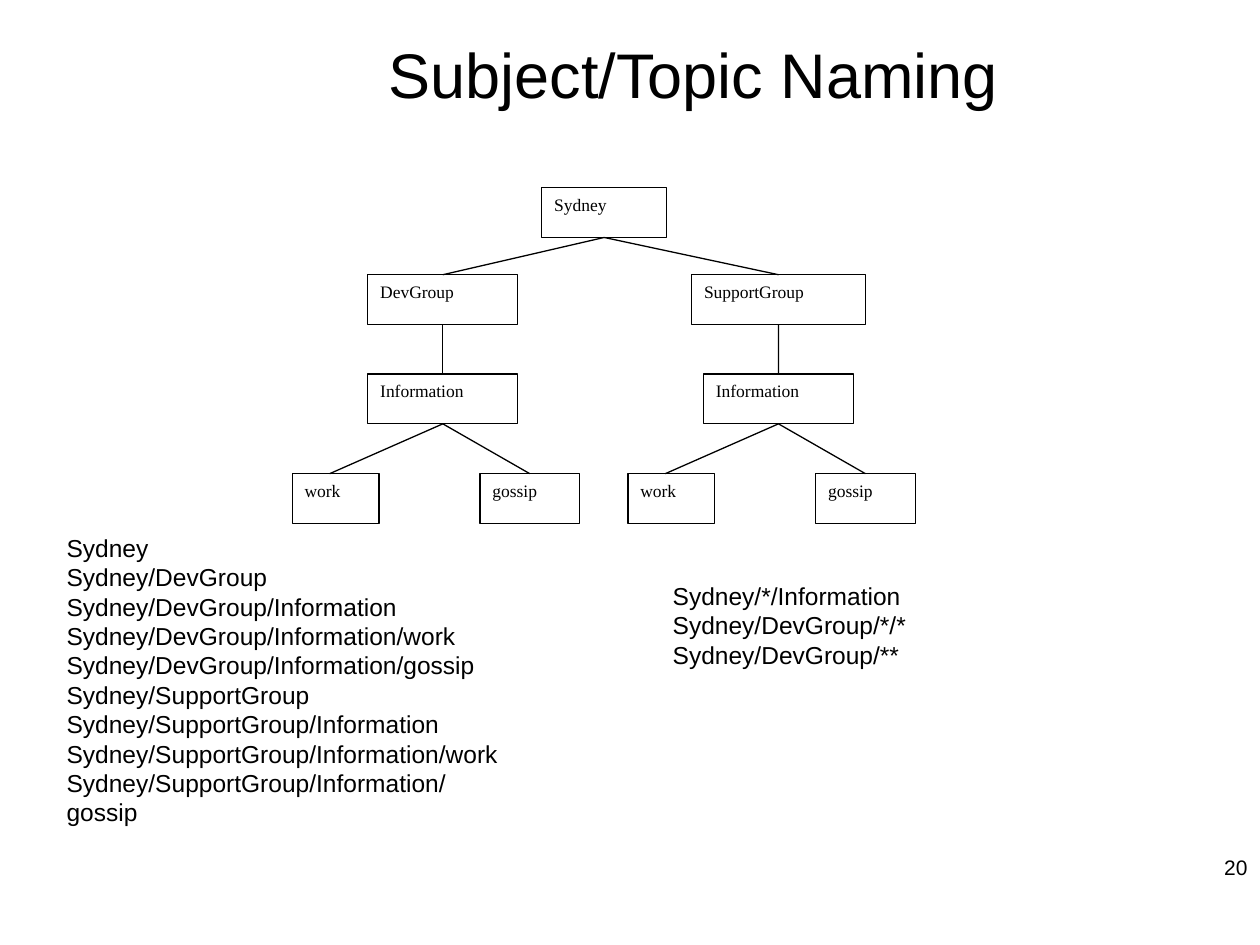
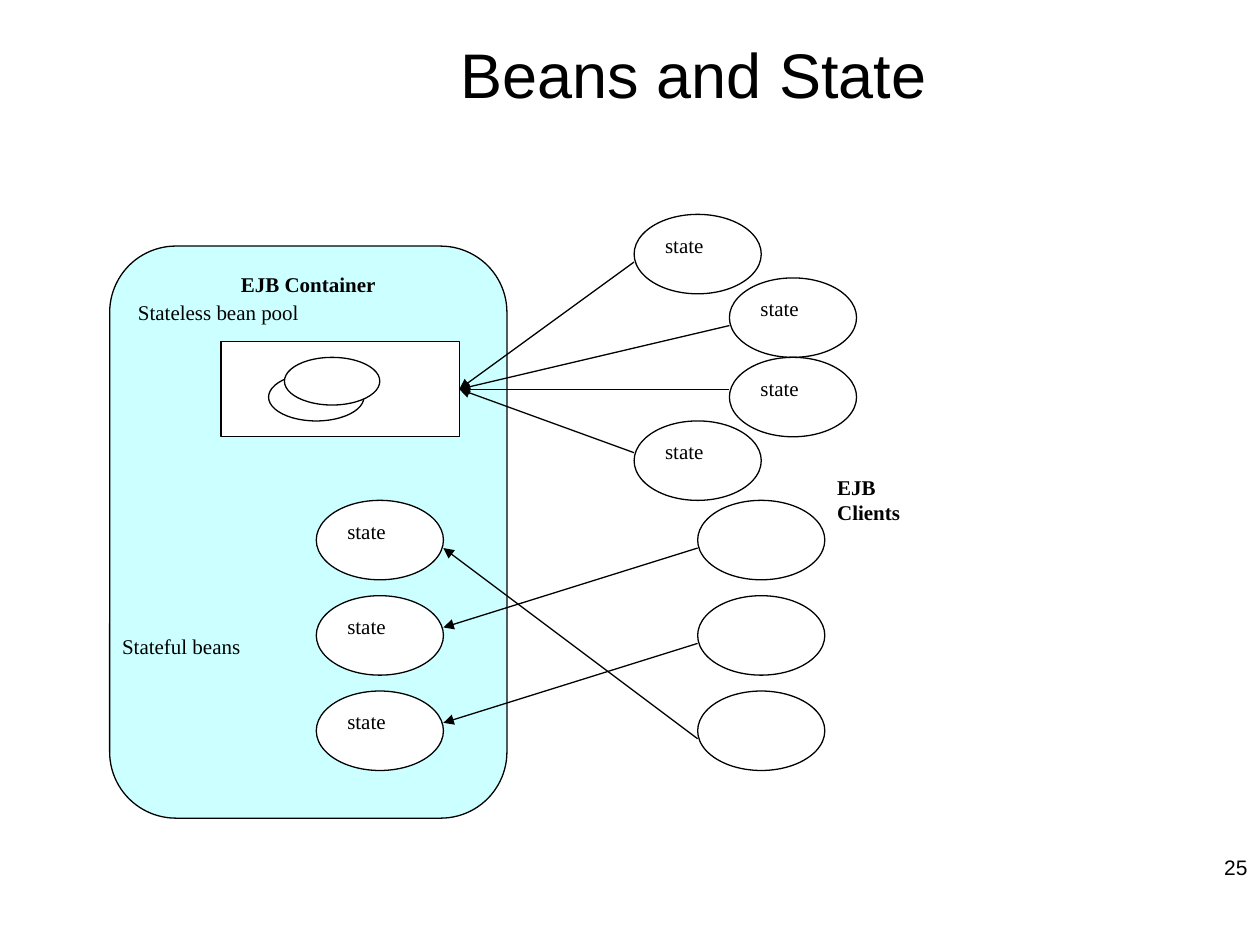
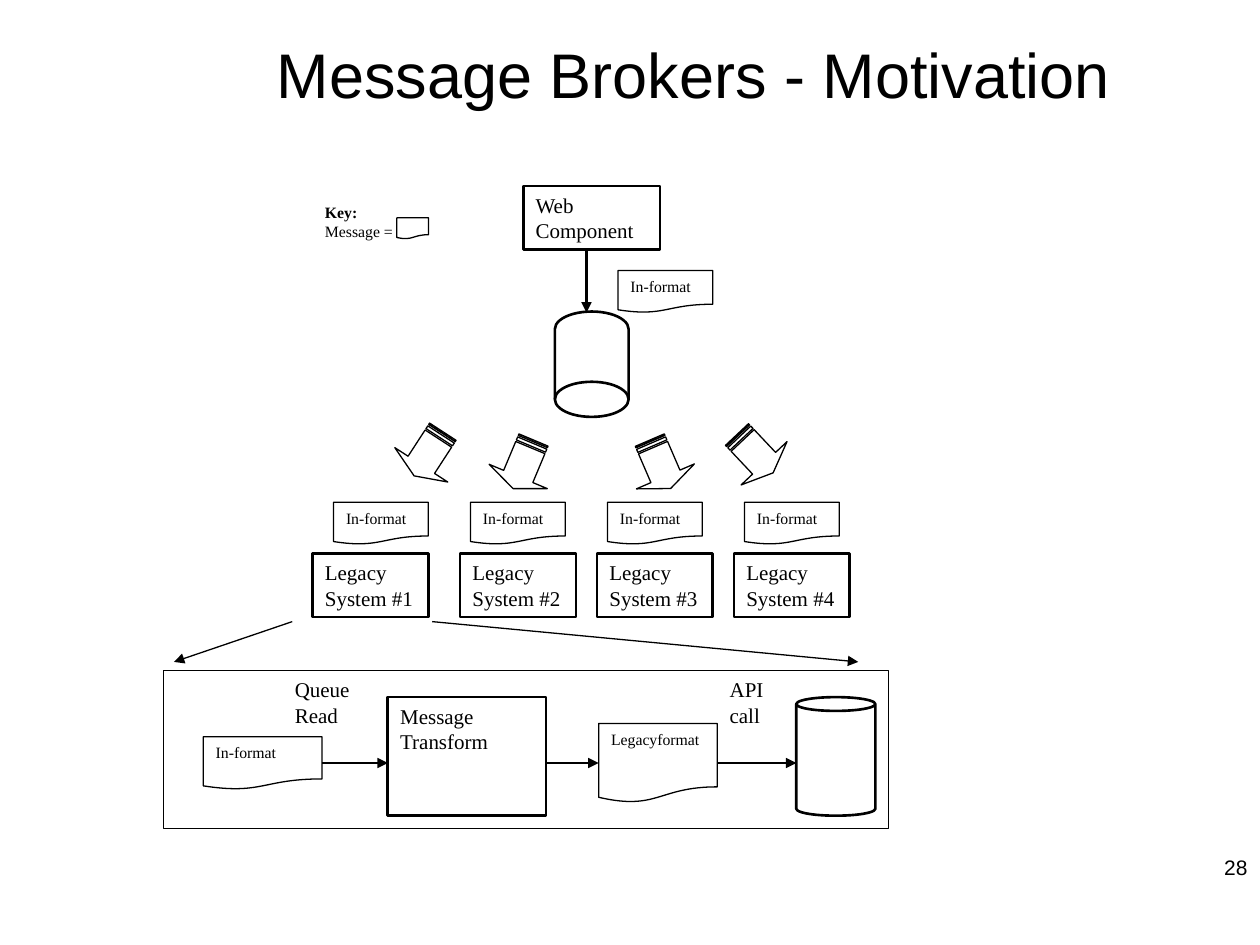
from lxml import etree
from pptx import Presentation
from pptx.dml.color import RGBColor
from pptx.enum.shapes import MSO_CONNECTOR, MSO_SHAPE
from pptx.enum.text import MSO_ANCHOR, PP_ALIGN
from pptx.oxml.ns import qn
from pptx.util import Pt

RECT, ELLIPSE = MSO_SHAPE.RECTANGLE, MSO_SHAPE.OVAL
CONTAINER = MSO_SHAPE.FLOWCHART_ALTERNATE_PROCESS
DOCUMENT = MSO_SHAPE.FLOWCHART_DOCUMENT
QUEUE = MSO_SHAPE.FLOWCHART_DIRECT_ACCESS_STORAGE
CAN, ARROW = MSO_SHAPE.CAN, MSO_SHAPE.STRIPED_RIGHT_ARROW
STRAIGHT = MSO_CONNECTOR.STRAIGHT
LEFT, CENTER, RIGHT = PP_ALIGN.LEFT, PP_ALIGN.CENTER, PP_ALIGN.RIGHT
TOP, MIDDLE = MSO_ANCHOR.TOP, MSO_ANCHOR.MIDDLE

BLACK, WHITE, PALE_CYAN = "000000", "FFFFFF", "CCFFFF"
SANS, SERIF = "Arial", "Times New Roman"
THIN, THICK = 0.75, 1.5


def rgb(color):
    return RGBColor.from_string(color)


def write(frame, text, size, font=SERIF, align=LEFT, anchor=TOP, bold_lines=0):
    """Fill a text frame; the first bold_lines paragraphs are bold."""
    frame.text = text
    frame.word_wrap = True
    frame.vertical_anchor = anchor
    for number, paragraph in enumerate(frame.paragraphs):
        paragraph.alignment = align
        style = {"name": font, "size": Pt(size), "bold": number < bold_lines}
        for run in paragraph.runs:
            for attribute, value in style.items():
                setattr(run.font, attribute, value)
            run.font.color.rgb = rgb(BLACK)


class Region:
    """Part of a slide, measured in grid units from its left top corner."""

    def __init__(self, slide, left, top, unit=1):
        self.shapes = slide.shapes
        self.left, self.top, self.unit = left, top, unit

    def point(self, x, y):
        return Pt(self.left + x * self.unit), Pt(self.top + y * self.unit)

    def box(self, x, y, width, height):
        return *self.point(x, y), Pt(width * self.unit), Pt(height * self.unit)

    def shape(self, kind, box, text="", size=12, fill=WHITE, line=THIN, **style):
        shape = self.shapes.add_shape(kind, *self.box(*box))
        shape.shadow.inherit = False
        if fill:
            shape.fill.solid()
            shape.fill.fore_color.rgb = rgb(fill)
        else:
            shape.fill.background()
        shape.line.color.rgb = rgb(BLACK)
        shape.line.width = Pt(line)
        if text:
            write(shape.text_frame, text, size, **style)
        return shape

    def text(self, box, text, size=12, **style):
        label = self.shapes.add_textbox(*self.box(*box))
        write(label.text_frame, text, size, **style)

    def line(self, start, end, width=THIN, arrow=True):
        line = self.shapes.add_connector(STRAIGHT, *self.point(*start), *self.point(*end))
        line.line.color.rgb = rgb(BLACK)
        line.line.width = Pt(width)
        properties = line.element.spPr
        if arrow:
            etree.SubElement(properties.find(qn("a:ln")), qn("a:tailEnd"), type="triangle")
        etree.SubElement(properties, qn("a:effectLst"))


def titled_slide(deck, title, number):
    slide = deck.slides.add_slide(deck.slide_layouts[5])
    page = Region(slide, 0, 0)
    heading = slide.shapes.title
    heading.left, heading.top, heading.width, heading.height = page.box(108.7, 3.6, 575.3, 76.3)
    write(heading.text_frame, title, 36, font=SANS, align=CENTER, anchor=MIDDLE)
    page.text((552.2, 481, 167.8, 28.8), str(number), 12, font=SANS, align=RIGHT, anchor=MIDDLE)
    return slide


def topic_tree(slide, left, top):
    tree = Region(slide, left, top)
    row_tops = (0, 49.7, 106.5, 163.4)
    height = 28.4

    def node(label, x, row, width, parent=None, entry=0.5):
        """Draw a topic under its parent and return its bottom middle."""
        y = row_tops[row]
        tree.shape(RECT, (x, y, width, height), label, 10)
        if parent:
            tree.line(parent, (x + width * entry, y), arrow=False)
        return x + width / 2, y + height

    city = node("Sydney", 142.6, 0, 71.3)
    groups = (("DevGroup", 43.2, 85.7, 0), ("SupportGroup", 228.2, 99.4, 191.8))
    for name, x, width, branch in groups:
        group = node(name, x, 1, width, city)
        information = node("Information", branch + 43.2, 2, 85.7, group)
        node("work", branch, 3, 49.7, information, entry=0.43)
        node("gossip", branch + 107.3, 3, 56.9, information)


def topic_names(slide, left, top, width, height, names):
    names_region = Region(slide, left, top)
    paths = "\n".join("/".join(("Sydney", name)) if name else "Sydney" for name in names)
    names_region.text((0, 0, width, height), paths, 14, font=SANS, anchor=MIDDLE)


def naming_slide(deck):
    slide = titled_slide(deck, "Subject/Topic Naming", 20)
    topic_tree(slide, 167, 107.3)
    topics = [""]
    for group in ("DevGroup", "SupportGroup"):
        topics += [group + tail for tail in
                   ("", "/Information", "/Information/work", "/Information/gossip")]
    topic_names(slide, 31, 309.6, 270.7, 157.7, topics)
    topic_names(slide, 377.3, 328.3, 147.6, 57.6, ["*/Information", "DevGroup/*/*", "DevGroup/**"])


def bean_diagram(slide, left, top):
    beans = Region(slide, left, top, unit=9.08)
    bean_width, bean_height = 8, 5
    stateful_rows = (18, 24, 30)

    beans.shape(CONTAINER, (0, 2, 25, 36), "EJB Container", fill=PALE_CYAN,
                align=CENTER, bold_lines=1)
    beans.text((1, 5, 13, 7), "Stateless bean pool")
    beans.text((0, 26, 13, 4), "Stateful beans")
    beans.shape(RECT, (7, 8, 15, 6))
    for x, y in ((10, 10), (11, 9)):
        beans.shape(ELLIPSE, (x, y, 6, 3))

    for y in stateful_rows:
        beans.shape(ELLIPSE, (13, y, bean_width, bean_height), "state")
        beans.shape(ELLIPSE, (37, y, bean_width, bean_height))
    for client_y, bean_y in ((21, 26), (27, 32), (33, 21)):
        beans.line((37, client_y), (21, bean_y))

    for x, y, exit_y in ((33, 0, 3), (39, 4, 7), (39, 9, 11), (33, 13, 15)):
        beans.line((x, exit_y), (22, 11))
        beans.shape(ELLIPSE, (x, y, bean_width, bean_height), "state")
    beans.text((45, 16, 8, 7), "EJB\nClients", bold_lines=2)


def beans_slide(deck):
    slide = titled_slide(deck, "Beans and State", 25)
    bean_diagram(slide, 62.7, 122.5)


def message_fan_out(slide, left, top):
    """Web component, queue and the four legacy systems it feeds."""
    flow = Region(slide, left, top, unit=6.02)
    flow.text((0, 1, 12, 6), "Key:\nMessage =", 9, bold_lines=1)
    flow.shape(DOCUMENT, (8, 3, 3, 2))
    flow.shape(RECT, (20, 0, 13, 6), "Web\nComponent", line=THICK)
    flow.line((26, 6), (26, 12), THICK)
    flow.shape(DOCUMENT, (29, 8, 9, 4), "In-format", 9)
    flow.shape(QUEUE, (21.5, 13.4, 10, 7), line=THICK).rotation = 90

    for x, y, angle in ((8.5, 22.4, 123), (17.5, 23.4, 112.7),
                        (30.5, 23.4, 66.7), (39.5, 22.4, 46.7)):
        arrow = flow.shape(ARROW, (x, y, 5, 6))
        arrow.adjustments[1] = 0.25
        arrow.rotation = angle

    for number, x in enumerate((0, 14, 27, 40), start=1):
        message_x = 2 if number == 1 else x + 1
        flow.shape(DOCUMENT, (message_x, 30, 9, 4), "In-format", 9)
        flow.shape(RECT, (x, 34.9, 11, 6), f"Legacy\nSystem #{number}", line=THICK)


def legacy_system_detail(slide, left, top):
    detail = Region(slide, left, top, unit=7.53)
    for start_x, end_x in ((9.75, 0.77), (20.37, 52.7)):
        detail.line((start_x, -3.73), (end_x, -0.67))
    detail.shape(RECT, (0, 0, 55, 12), fill=None)
    detail.shape(DOCUMENT, (3, 5, 9, 4), "In-format", 9)
    detail.shape(RECT, (17, 2, 12, 9), "Message\nTransform", line=THICK)
    detail.shape(DOCUMENT, (33, 4, 9, 6), "Legacyformat", 9)
    detail.shape(CAN, (48, 2, 6, 9), line=THICK).adjustments[0] = 0.175
    for start_x, end_x in ((12, 17), (29, 33), (42, 48)):
        detail.line((start_x, 7), (end_x, 7))
    for x, step in ((9, "Queue\nRead"), (42, "API\ncall")):
        detail.text((x, 0, 8, 5), step)


def brokers_slide(deck):
    slide = titled_slide(deck, "Message Brokers - Motivation", 28)
    message_fan_out(slide, 178.6, 106.4)
    legacy_system_detail(slide, 93.6, 383.3)


def main():
    deck = Presentation()
    deck.slide_width, deck.slide_height = Pt(720), Pt(540)
    for build in (naming_slide, beans_slide, brokers_slide):
        build(deck)
    deck.save("out.pptx")


if __name__ == "__main__":
    main()
